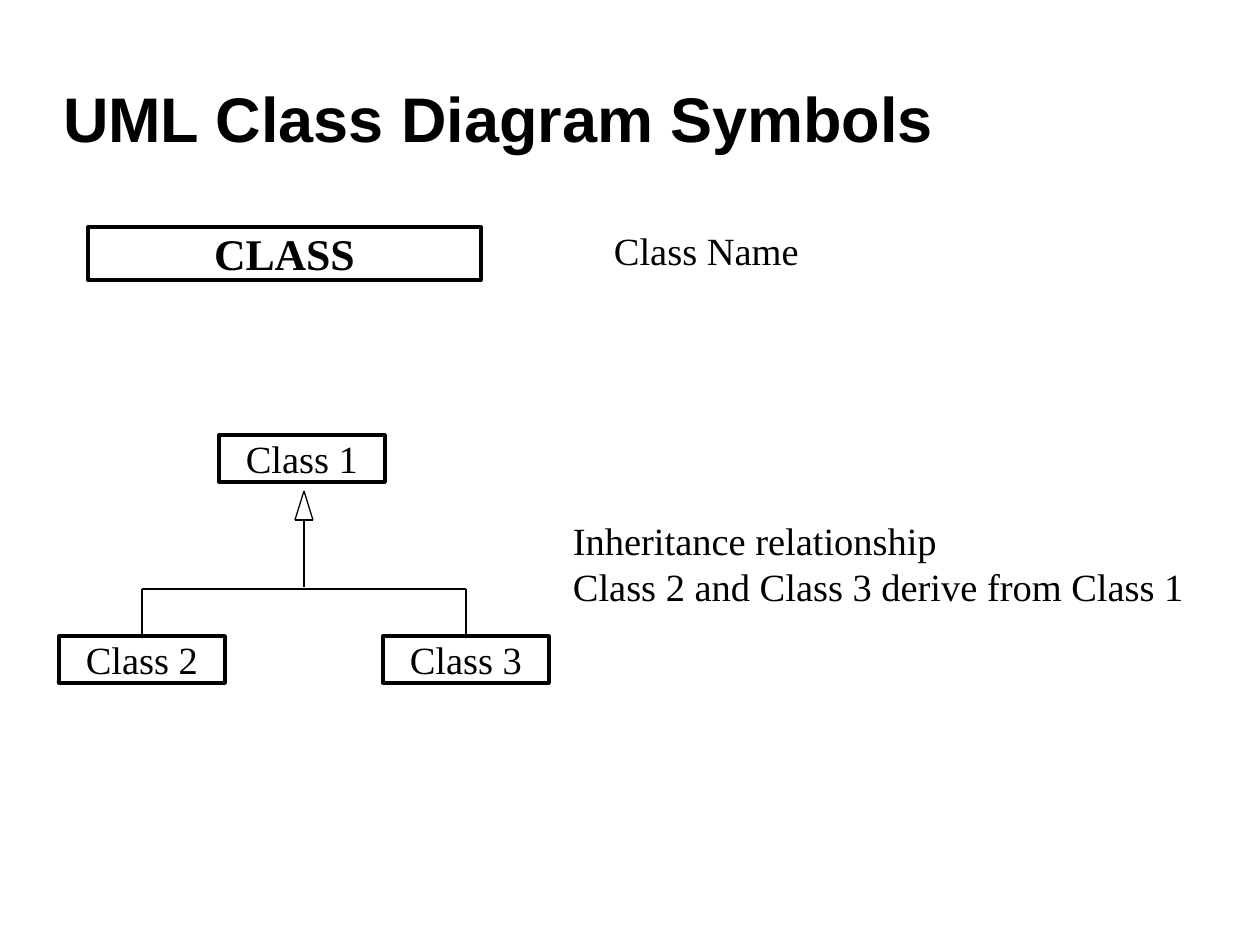
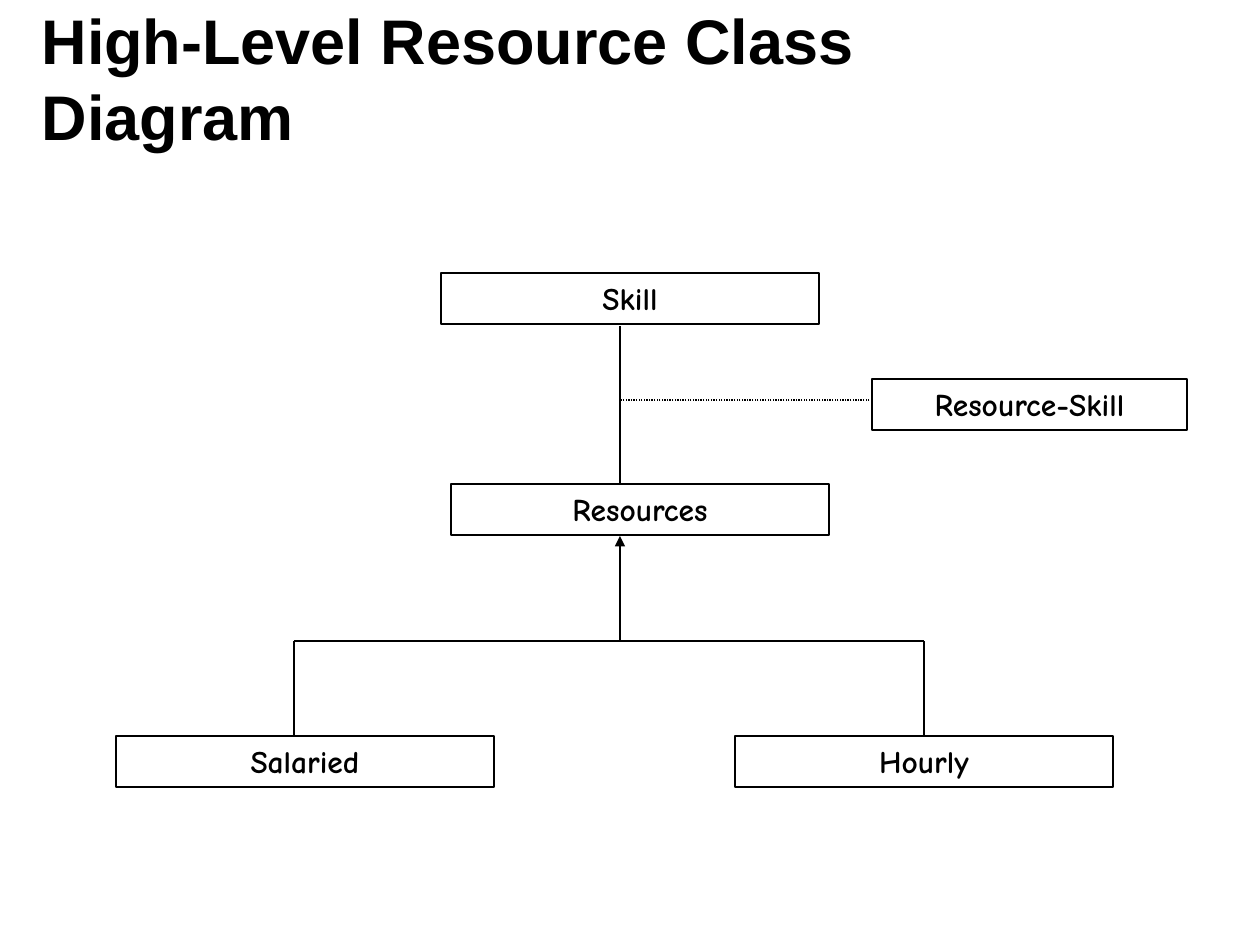
from dataclasses import dataclass
from itertools import combinations

from lxml import etree
from pptx import Presentation
from pptx.dml.color import RGBColor
from pptx.enum.dml import MSO_LINE
from pptx.enum.shapes import MSO_CONNECTOR, MSO_SHAPE
from pptx.enum.text import MSO_ANCHOR as Anchor, MSO_AUTO_SIZE, PP_ALIGN as Align
from pptx.oxml.ns import qn
from pptx.util import Emu, Pt

PX = 7257.14  # EMU in one px, 126 px to the inch
TOP, BOTTOM = 0, 2


@dataclass(frozen=True)
class Theme:
    ink: RGBColor = RGBColor(0, 0, 0)
    title_font: str = "Arial"
    symbol_font: str = "Times New Roman"
    diagram_font: str = "Comic Neue"
    title_size: int = 36
    heading_size: int = 25
    symbol_size: int = 22
    diagram_size: int = 18
    frame: float = 2.15
    line: float = 1
    thin: float = 0.75


THEME = Theme()

# Slide 1: boxes and notes are left, top, width, height
SYMBOLS_TITLE = ("UML Class Diagram Symbols", (63, 38, 1134, 158))
CLASS_BOX = ("CLASS", (88, 227, 393, 53))
NOTES = [
    ("Class Name", (614, 227, 244, 47)),
    ("Inheritance relationship\nClass 2 and Class 3 derive from Class 1",
     (573, 517, 631, 92)),
]
FAMILY_SIZE = (166, 47)
PARENT = ("Class 1", (219, 435))
CHILDREN = [("Class 2", (59, 636)), ("Class 3", (383, 636))]
FAMILY_BAR_Y = 589
ARROW_TIP, ARROW_BASE_Y, ARROW_HALF = (304, 491), 520, 9

# Slide 2
RESOURCE_TITLE = ("High-Level Resource Class Diagram", (29, 19, 1012, 117))
CLASS_HEIGHT = 51
CLASSES = {  # left, top, width
    "Skill": (441, 273, 378),
    "Resources": (451, 484, 378),
    "Salaried": (116, 736, 378),
    "Hourly": (735, 736, 378),
    "Resource-Skill": (872, 379, 315),
}
TRUNK_X, RESOURCE_BAR_Y, LINK_Y, SALARIED_X = 620, 641, 400, 294


def emu(*lengths):
    return [Emu(round(length * PX)) for length in lengths]


def write(box, text, font, size, bold=False, align=Align.LEFT,
          anchor=Anchor.TOP, insets=(0, 0)):
    frame = box.text_frame
    frame.text = text
    frame.word_wrap = True
    frame.auto_size = MSO_AUTO_SIZE.NONE
    frame.vertical_anchor = anchor
    frame.margin_left = frame.margin_right = Pt(insets[0])
    frame.margin_top = frame.margin_bottom = Pt(insets[1])
    for para in frame.paragraphs:
        para.alignment = align
        for span in para.runs:
            span.font.name = font
            span.font.size = Pt(size)
            span.font.bold = bold
            span.font.color.rgb = THEME.ink


def add_page(deck, title, insets=(0, 0)):
    text, place = title
    page = deck.slides.add_slide(deck.slide_layouts[5])
    box = page.shapes.title
    box.left, box.top, box.width, box.height = emu(*place)
    write(box, text, THEME.title_font, THEME.title_size, True,
          anchor=Anchor.MIDDLE, insets=insets)
    return page


def add_box(page, place, width, kind=MSO_SHAPE.RECTANGLE):
    box = page.shapes.add_shape(kind, *emu(*place))
    box.shadow.inherit = False
    box.fill.background()
    box.line.color.rgb = THEME.ink
    box.line.width = Pt(width)
    return box


def add_line(page, start, end, width=THEME.thin):
    line = page.shapes.add_connector(MSO_CONNECTOR.STRAIGHT, *emu(*start, *end))
    line.line.color.rgb = THEME.ink
    line.line.width = Pt(width)
    etree.SubElement(line._element.spPr, qn("a:effectLst"))
    return line


def add_arrowhead(line):
    ends = line.line._get_or_add_ln()
    etree.SubElement(ends, qn("a:tailEnd"), type="triangle")


def add_family_box(page, name, corner):
    box = add_box(page, (*corner, *FAMILY_SIZE), THEME.frame,
                  MSO_SHAPE.ROUNDED_RECTANGLE)
    box.adjustments[0] = 0.003
    write(box, name, THEME.symbol_font, THEME.symbol_size,
          align=Align.CENTER, anchor=Anchor.MIDDLE)
    return box


def build_symbols(deck):
    page = add_page(deck, SYMBOLS_TITLE)

    # Class symbol and explanations
    name, place = CLASS_BOX
    write(add_box(page, place, THEME.frame), name, THEME.symbol_font,
          THEME.heading_size, True, Align.CENTER)
    for note, place in NOTES:
        write(page.shapes.add_textbox(*emu(*place)), note,
              THEME.symbol_font, THEME.symbol_size)

    # Parent, children and the bar between them
    add_family_box(page, *PARENT)
    stems = []
    for name, (left, top) in CHILDREN:
        child = add_family_box(page, name, (left, top))
        x = left + FAMILY_SIZE[0] / 2
        stem = add_line(page, (x, FAMILY_BAR_Y), (x, top), THEME.line)
        stem.end_connect(child, TOP)
        stems.append(x)
    add_line(page, (stems[0], FAMILY_BAR_Y), (stems[1], FAMILY_BAR_Y), THEME.line)

    # Hollow inheritance arrow
    x = ARROW_TIP[0]
    add_line(page, (x, ARROW_BASE_Y), (x, FAMILY_BAR_Y - 2), THEME.line)
    corners = [ARROW_TIP, (x - ARROW_HALF, ARROW_BASE_Y),
               (x + ARROW_HALF, ARROW_BASE_Y)]
    for start, end in combinations(corners, 2):
        add_line(page, start, end)


def build_resources(deck):
    page = add_page(deck, RESOURCE_TITLE, insets=(7.2, 3.6))

    # Classes
    boxes = {}
    for name, place in CLASSES.items():
        boxes[name] = add_box(page, (*place, CLASS_HEIGHT), THEME.thin)
        write(boxes[name], name, THEME.diagram_font, THEME.diagram_size, True,
              Align.CENTER, insets=(7.2, 3.6))

    # Association between skill and resources, with its own class
    skill_bottom = CLASSES["Skill"][1] + CLASS_HEIGHT
    resources_top = CLASSES["Resources"][1]
    add_line(page, (TRUNK_X, skill_bottom + 2), (TRUNK_X, resources_top))
    link = add_line(page, (CLASSES["Resource-Skill"][0], LINK_Y), (TRUNK_X, LINK_Y))
    link.line.dash_style = MSO_LINE.ROUND_DOT

    # Inheritance tree
    left, child_top, width = CLASSES["Hourly"]
    hourly_x = left + width / 2
    add_line(page, (SALARIED_X, RESOURCE_BAR_Y), (hourly_x, RESOURCE_BAR_Y))
    add_line(page, (SALARIED_X, RESOURCE_BAR_Y), (SALARIED_X, child_top))
    stem = add_line(page, (hourly_x, RESOURCE_BAR_Y), (hourly_x, child_top))
    stem.end_connect(boxes["Hourly"], TOP)
    arrow = add_line(page, (TRUNK_X, RESOURCE_BAR_Y),
                     (TRUNK_X, resources_top + CLASS_HEIGHT + 1))
    add_arrowhead(arrow)


def main():
    deck = Presentation()
    deck.slide_width, deck.slide_height = emu(1260, 945)
    build_symbols(deck)
    build_resources(deck)
    deck.save("out.pptx")


if __name__ == "__main__":
    main()
